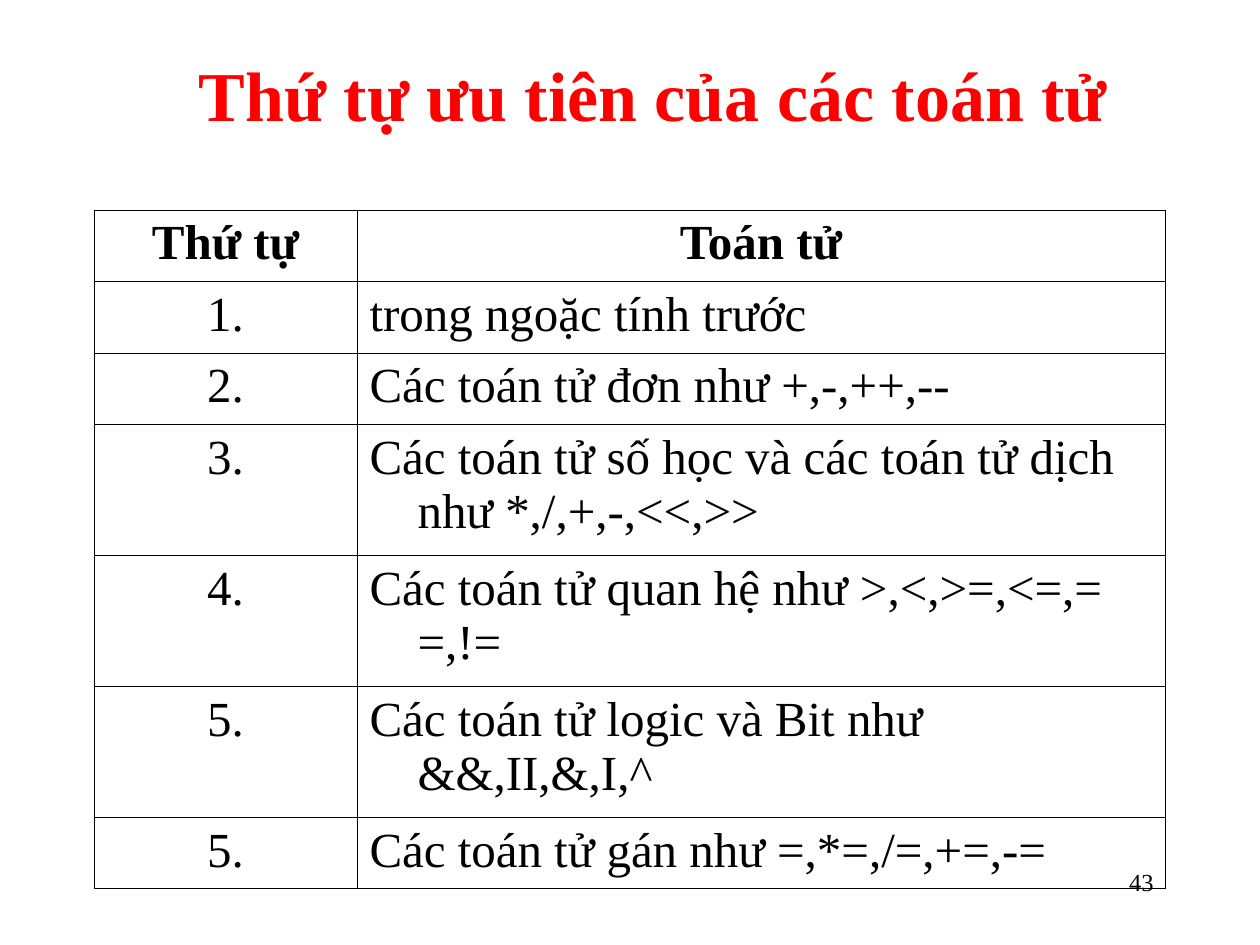
from lxml.etree import SubElement
from pptx import Presentation
from pptx.dml.color import RGBColor
from pptx.enum.text import MSO_ANCHOR as Anchor, PP_ALIGN as Align
from pptx.oxml.ns import qn
from pptx.util import Pt

TITLE = "Thứ tự ưu tiên của các toán tử "
PAGE_NUMBER = "43"
HEADINGS = ("Thứ tự", "Toán tử")
PRECEDENCE = [
    ("1.", "trong ngoặc tính trước"),
    ("2.", "Các toán tử đơn như +,-,++,--"),
    ("3.", "Các toán tử số học và các toán tử dịch như *,/,+,-,<<,>>"),
    ("4.", "Các toán tử quan hệ như >,<,>=,<=,= =,!="),
    ("5.", "Các toán tử logic và Bit như &&,II,&,I,^"),
    ("5.", "Các toán tử gán như =,*=,/=,+=,-="),
]

THEME = {
    "font": "Times New Roman",
    "red": RGBColor(0xFF, 0x00, 0x00),
    "black": RGBColor(0x00, 0x00, 0x00),
    "title": 40,
    "body": 28,
    "number": 14,
    "border": 0.45,
}

PX = 914400 // 126
SHORT_ROW, TALL_ROW = 71, 131
ROW_HEIGHTS = [SHORT_ROW] * 3 + [TALL_ROW] * 3 + [SHORT_ROW]
COLUMN_WIDTHS = (263, 808)
TABLE_LEFT, TABLE_TOP = 94, 210
HANGING = 48


def px(length):
    return length * PX


def write(frame, text, size, color, align, bold=False):
    paragraph = frame.paragraphs[0]
    paragraph.text = text
    paragraph.alignment = align
    font = paragraph.font
    font.name, font.size, font.bold = THEME["font"], Pt(size), bold
    font.color.rgb = color
    return paragraph


def add_text(slide, box, anchor, *style, **options):
    frame = slide.shapes.add_textbox(*map(px, box)).text_frame
    frame.word_wrap = True
    frame.vertical_anchor = anchor
    write(frame, *style, **options)


def add_borders(cell):
    properties = cell._tc.get_or_add_tcPr()
    for position, side in enumerate(("a:lnL", "a:lnR", "a:lnT", "a:lnB")):
        line = SubElement(properties, qn(side), w=str(Pt(THEME["border"])))
        fill = SubElement(line, qn("a:solidFill"))
        SubElement(fill, qn("a:srgbClr"), val=str(THEME["black"]))
        properties.insert(position, line)


def fill_cell(cell, text, align, bold):
    cell.fill.background()
    add_borders(cell)
    paragraph = write(cell.text_frame, text, THEME["body"], THEME["black"], align, bold)
    indent = paragraph._p.get_or_add_pPr()
    indent.set("marL", str(px(HANGING)))
    indent.set("indent", str(-px(HANGING)))


def add_precedence_table(slide):
    rows = [HEADINGS, *PRECEDENCE]
    box = (TABLE_LEFT, TABLE_TOP, sum(COLUMN_WIDTHS), sum(ROW_HEIGHTS))
    table = slide.shapes.add_table(len(rows), len(HEADINGS), *map(px, box)).table
    table.horz_banding = False
    for column, width in zip(table.columns, COLUMN_WIDTHS):
        column.width = px(width)
    for r, (texts, height) in enumerate(zip(rows, ROW_HEIGHTS)):
        table.rows[r].height = px(height)
        for c, text in enumerate(texts):
            align = Align.CENTER if r == 0 or c == 0 else Align.LEFT
            fill_cell(table.cell(r, c), text, align, bold=r == 0)


def main():
    deck = Presentation()
    deck.slide_width, deck.slide_height = px(1260), px(945)
    slide = deck.slides.add_slide(deck.slide_layouts[6])
    add_text(slide, (126, 15, 1071, 158), Anchor.MIDDLE,
             TITLE, THEME["title"], THEME["red"], Align.CENTER, bold=True)
    add_precedence_table(slide)
    add_text(slide, (903, 861, 263, 63), Anchor.TOP,
             PAGE_NUMBER, THEME["number"], THEME["black"], Align.RIGHT)
    deck.save("out.pptx")


if __name__ == "__main__":
    main()
